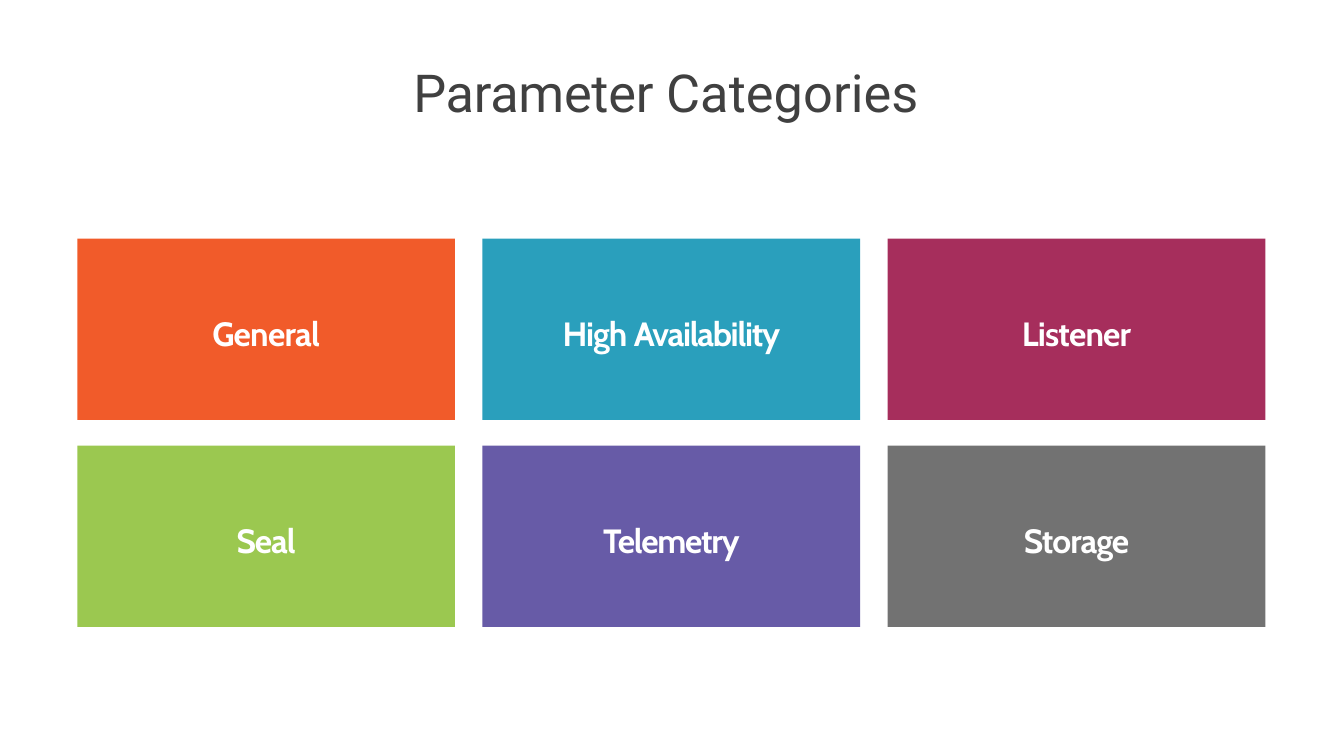
import pptx
import pptx.dml.color
import pptx.enum.shapes
import pptx.enum.text
import pptx.util

Inches = pptx.util.Inches
Pt = pptx.util.Pt

COLORS = {
    "title": "404040",
    "label": "FFFFFF",
    "orange": "F15B2A",
    "teal": "2A9FBC",
    "berry": "A62E5C",
    "green": "9BC850",
    "purple": "675BA7",
    "gray": "727272",
}

CATEGORIES = [
    ("orange", [("General", -0.8)]),
    ("teal", [("High ", -1.1), ("Availability", -1.4)]),
    ("berry", [("Listener", -0.9)]),
    ("green", [("Seal", -1.2)]),
    ("purple", [("Telemetry", -1.4)]),
    ("gray", [("Storage", -1.1)]),
]

COLUMNS = 3
LEFT, TOP = 1.15, 3.55
TILE_WIDTH, TILE_HEIGHT = 5.62, 2.7
COLUMN_STEP, ROW_STEP = 6.03, 3.08


class SlideBuilder:
    title_font = "Roboto"
    label_font = "Cabin"
    title_size = 56
    label_size = 36

    def __init__(self, slide):
        self.slide = slide

    def color(self, name):
        return pptx.dml.color.RGBColor.from_string(COLORS[name])

    def prepare_frame(self, frame, anchor, top_inset):
        frame.margin_left = frame.margin_right = frame.margin_bottom = 0
        frame.margin_top = Inches(top_inset)
        frame.vertical_anchor = anchor
        frame.word_wrap = True
        frame.auto_size = pptx.enum.text.MSO_AUTO_SIZE.NONE

    def add_runs(self, para, pieces, font, size, color, bold):
        for text, spacing in pieces:
            span = para.add_run()
            span.text = text
            span.font.name = font
            span.font.size = Pt(size)
            span.font.bold = bold
            span.font.color.rgb = self.color(color)
            span.font._element.set("spc", str(round(spacing * 100)))

    def add_title(self, pieces, left, top, width, height):
        box = self.slide.shapes.title
        box.left, box.top = Inches(left), Inches(top)
        box.width, box.height = Inches(width), Inches(height)
        self.prepare_frame(box.text_frame, pptx.enum.text.MSO_ANCHOR.TOP, 0.01)
        para = box.text_frame.paragraphs[0]
        para.alignment = pptx.enum.text.PP_ALIGN.LEFT
        para.line_spacing = 1.0
        para.space_before = Pt(1)
        self.add_runs(para, pieces, self.title_font, self.title_size, "title", False)

    def add_tile(self, pieces, fill, left, top):
        box = self.slide.shapes.add_shape(
            pptx.enum.shapes.MSO_SHAPE.RECTANGLE,
            Inches(left), Inches(top), Inches(TILE_WIDTH), Inches(TILE_HEIGHT),
        )
        box.shadow.inherit = False
        box.fill.solid()
        box.fill.fore_color.rgb = self.color(fill)
        box.line.fill.background()
        self.prepare_frame(box.text_frame, pptx.enum.text.MSO_ANCHOR.MIDDLE, 0.11)
        para = box.text_frame.paragraphs[0]
        para.alignment = pptx.enum.text.PP_ALIGN.CENTER
        self.add_runs(para, pieces, self.label_font, self.label_size, "label", True)


def main():
    deck = pptx.Presentation()
    deck.slide_width, deck.slide_height = Inches(20), Inches(11.25)
    page = SlideBuilder(deck.slides.add_slide(deck.slide_layouts[5]))

    page.add_title([("Parameter ", -0.3), ("Categories", 0.1)], 6.15, 0.88, 7.61, 0.96)
    for index, (fill, pieces) in enumerate(CATEGORIES):
        row, column = divmod(index, COLUMNS)
        page.add_tile(pieces, fill, LEFT + column * COLUMN_STEP, TOP + row * ROW_STEP)

    deck.save("out.pptx")


if __name__ == "__main__":
    main()
